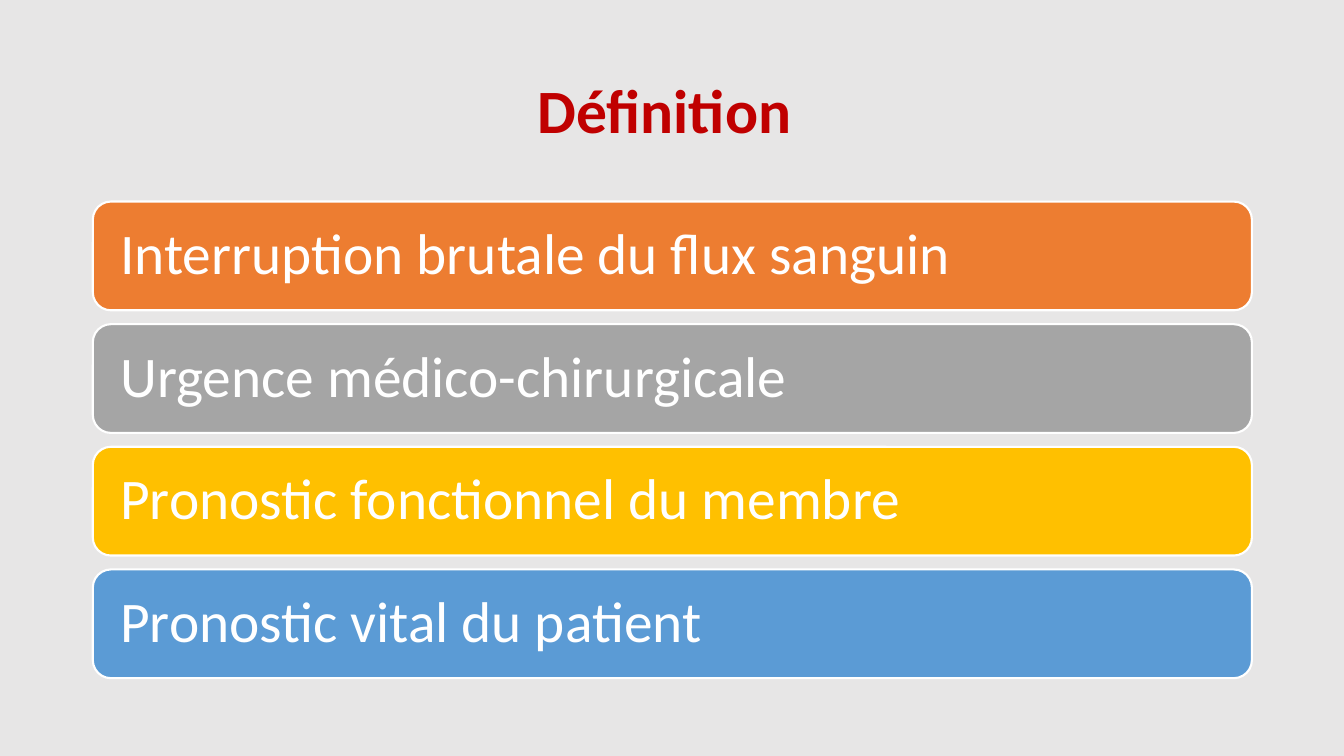
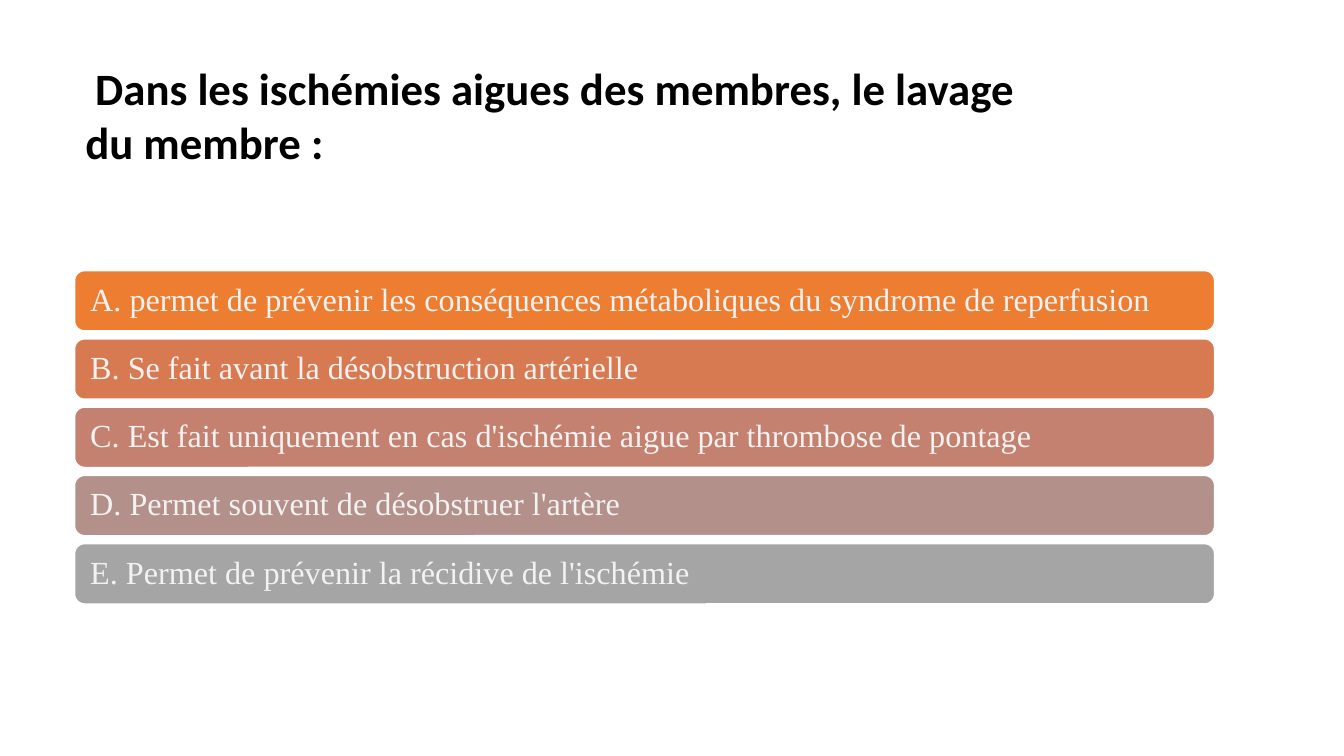
from dataclasses import dataclass
from typing import Any

from pptx import Presentation
from pptx.dml.color import RGBColor
from pptx.enum.shapes import MSO_SHAPE
from pptx.enum.text import MSO_ANCHOR, PP_ALIGN
from pptx.slide import Slide
from pptx.util import Cm, Length, Pt

WHITE = RGBColor(0xFF, 0xFF, 0xFF)
BLACK = RGBColor(0x00, 0x00, 0x00)
PALE_GREY = RGBColor(0xE7, 0xE6, 0xE6)
SOFT_WHITE = RGBColor(0xF2, 0xF2, 0xF2)
DARK_RED = RGBColor(0xC0, 0x00, 0x00)
ORANGE = RGBColor(0xED, 0x7D, 0x31)
COPPER = RGBColor(0xD8, 0x7A, 0x51)
ROSE = RGBColor(0xC4, 0x81, 0x70)
MAUVE = RGBColor(0xB4, 0x90, 0x8B)
GREY = RGBColor(0xA5, 0xA5, 0xA5)
GOLD = RGBColor(0xFF, 0xC0, 0x00)
BLUE = RGBColor(0x5B, 0x9B, 0xD5)


@dataclass(frozen=True)
class TextStyle:
    font: dict[str, Any]
    color: RGBColor
    frame: dict[str, Any]
    paragraph: dict[str, Any]


@dataclass(frozen=True)
class Title:
    text: str
    left: Length
    top: Length
    width: Length
    height: Length
    style: TextStyle
    first_line_indent: Length = Cm(0)


@dataclass(frozen=True)
class Bar:
    text: str
    fill: RGBColor


@dataclass(frozen=True)
class BarStack:
    left: Length
    top: Length
    width: Length
    height: Length
    pitch: Length
    line_width: Length
    style: TextStyle
    bars: tuple[Bar, ...]


@dataclass(frozen=True)
class Page:
    background: RGBColor
    title: Title
    stack: BarStack


def title_style(size: int, color: RGBColor, anchor: MSO_ANCHOR, right: Length,
                paragraph: dict[str, Any]) -> TextStyle:
    return TextStyle(
        font={"name": "Calibri", "size": Pt(size), "bold": True},
        color=color,
        frame={"word_wrap": True, "vertical_anchor": anchor, "margin_right": right},
        paragraph=paragraph,
    )


def bar_style(font_name: str, size: int, color: RGBColor, inset: Length) -> TextStyle:
    return TextStyle(
        font={"name": font_name, "size": Pt(size)},
        color=color,
        frame={"word_wrap": True, "vertical_anchor": MSO_ANCHOR.MIDDLE,
               "margin_left": inset, "margin_right": inset,
               "margin_top": Cm(0), "margin_bottom": Cm(0)},
        paragraph={"alignment": PP_ALIGN.LEFT, "line_spacing": 0.9},
    )


PAGES = (
    Page(
        background=PALE_GREY,
        title=Title(
            "Définition", Cm(2.34), Cm(1.02), Cm(29.21), Cm(3.68),
            title_style(44, DARK_RED, MSO_ANCHOR.MIDDLE, Cm(0.65),
                        {"alignment": PP_ALIGN.CENTER, "line_spacing": 0.9}),
        ),
        stack=BarStack(
            Cm(2.34), Cm(5.08), Cm(29.21), Cm(2.74), Cm(3.09), Pt(1.5),
            bar_style("Calibri", 41, WHITE, Cm(0.56)),
            (
                Bar("Interruption brutale du flux sanguin", ORANGE),
                Bar("Urgence médico-chirurgicale", GREY),
                Bar("Pronostic fonctionnel du membre", GOLD),
                Bar("Pronostic vital du patient", BLUE),
            ),
        ),
    ),
    Page(
        background=WHITE,
        title=Title(
            "Dans les ischémies aigues des membres, le lavage du membre :",
            Cm(1.9), Cm(1.4), Cm(30.02), Cm(3),
            title_style(32, BLACK, MSO_ANCHOR.TOP, Cm(5.5),
                        {"alignment": PP_ALIGN.LEFT}),
            first_line_indent=Cm(0.25),
        ),
        stack=BarStack(
            Cm(1.88), Cm(6.82), Cm(28.73), Cm(1.52), Cm(1.72), Pt(1),
            bar_style("Times New Roman", 23, SOFT_WHITE, Cm(0.32)),
            (
                Bar("A. permet de prévenir les conséquences métaboliques "
                    "du syndrome de reperfusion", ORANGE),
                Bar("B. Se fait avant la désobstruction artérielle", COPPER),
                Bar("C. Est fait uniquement en cas d'ischémie aigue "
                    "par thrombose de pontage", ROSE),
                Bar("D. Permet souvent de désobstruer l'artère", MAUVE),
                Bar("E. Permet de prévenir la récidive de l'ischémie", GREY),
            ),
        ),
    ),
)


def set_attributes(target: Any, values: dict[str, Any]) -> None:
    for name, value in values.items():
        setattr(target, name, value)


def write_text(shape: Any, text: str, style: TextStyle) -> Any:
    set_attributes(shape.text_frame, style.frame)
    paragraph = shape.text_frame.paragraphs[0]
    set_attributes(paragraph, style.paragraph)
    run = paragraph.add_run()
    run.text = text
    set_attributes(run.font, style.font)
    run.font.color.rgb = style.color
    return paragraph


def draw_title(slide: Slide, title: Title) -> None:
    shape = slide.shapes.add_textbox(title.left, title.top, title.width, title.height)
    paragraph = write_text(shape, title.text, title.style)
    if title.first_line_indent:
        paragraph._p.get_or_add_pPr().set("indent", str(title.first_line_indent))


def draw_stack(slide: Slide, stack: BarStack) -> None:
    for index, bar in enumerate(stack.bars):
        shape = slide.shapes.add_shape(
            MSO_SHAPE.ROUNDED_RECTANGLE,
            stack.left, stack.top + index * stack.pitch, stack.width, stack.height,
        )
        shape.shadow.inherit = False
        shape.fill.solid()
        shape.fill.fore_color.rgb = bar.fill
        shape.line.color.rgb = WHITE
        shape.line.width = stack.line_width
        write_text(shape, bar.text, stack.style)


def main() -> None:
    presentation = Presentation()
    presentation.slide_width = Cm(33.87)
    presentation.slide_height = Cm(19.05)
    blank_layout = presentation.slide_layouts[6]
    for page in PAGES:
        slide = presentation.slides.add_slide(blank_layout)
        slide.background.fill.solid()
        slide.background.fill.fore_color.rgb = page.background
        draw_title(slide, page.title)
        draw_stack(slide, page.stack)
    presentation.save("out.pptx")


if __name__ == "__main__":
    main()
